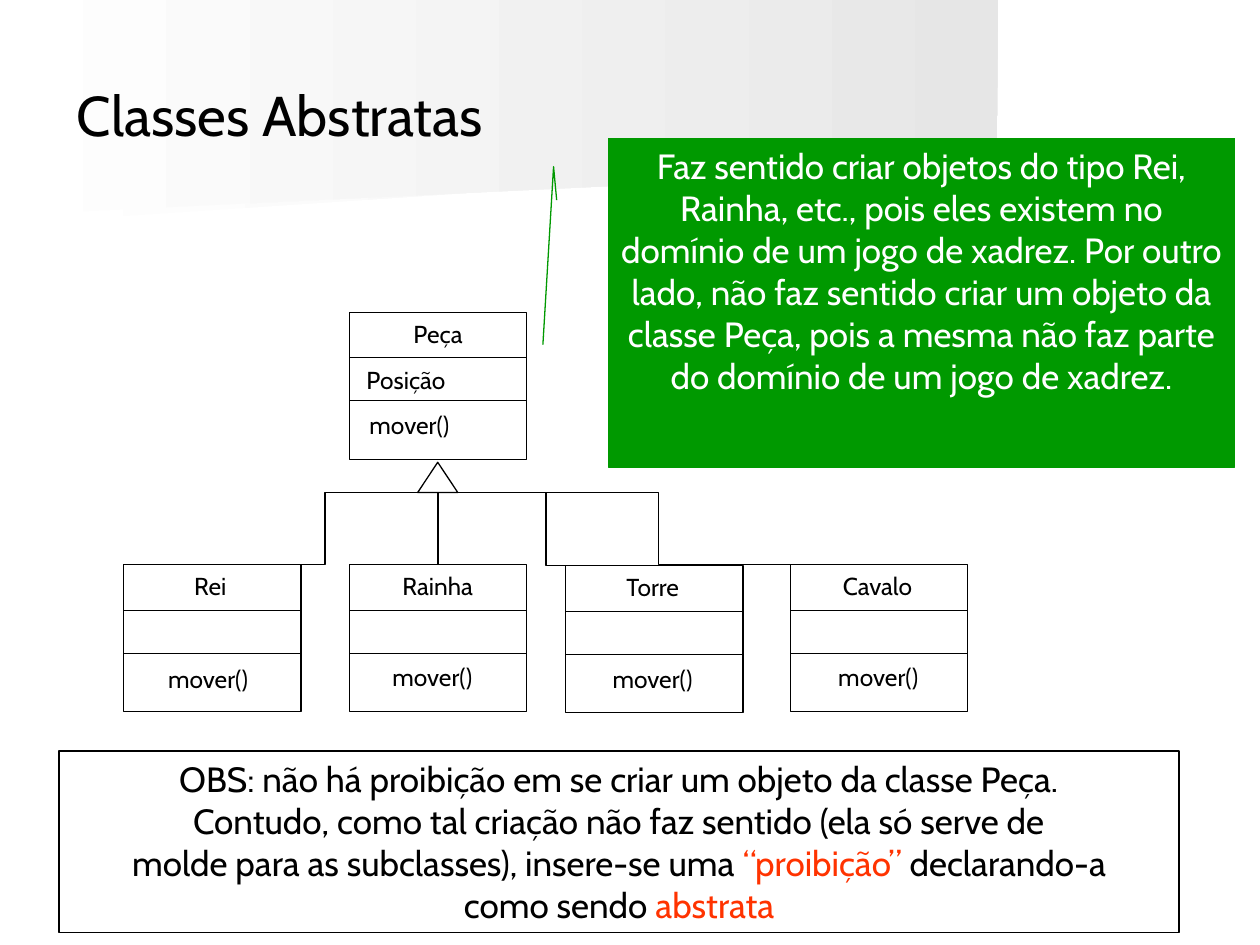
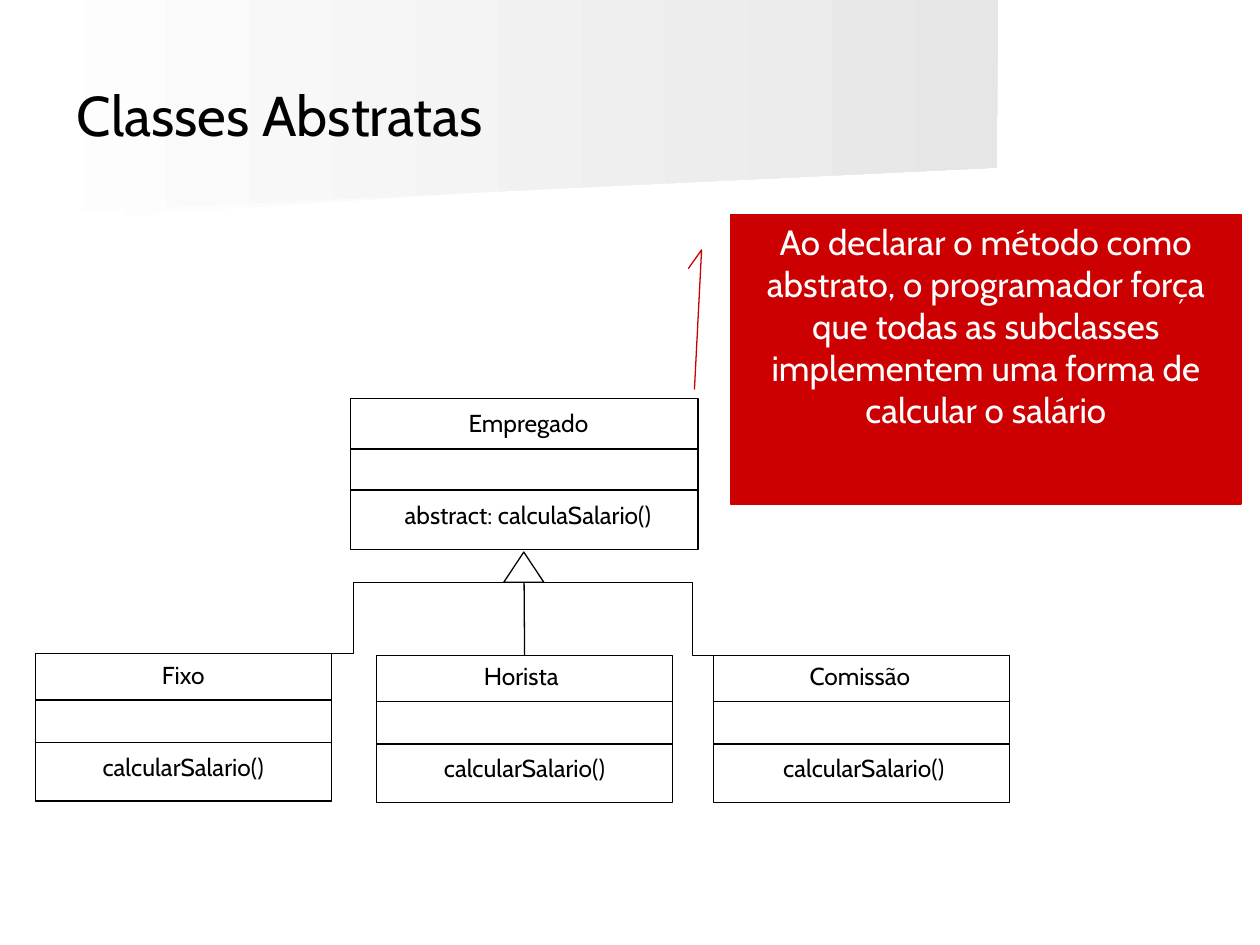
from pptx import Presentation
from pptx.dml.color import RGBColor
from pptx.enum.shapes import MSO_CONNECTOR as CONN, MSO_SHAPE as SHAPE
from pptx.enum.text import MSO_ANCHOR as ANCHOR, MSO_AUTO_SIZE as FIT, PP_ALIGN as ALIGN
from pptx.oxml.ns import qn
from pptx.util import Cm, Pt
from lxml import etree

FONT = "Cabin"
BLACK = RGBColor(0x00, 0x00, 0x00)
WHITE = RGBColor(0xFF, 0xFF, 0xFF)
GREEN = RGBColor(0x00, 0x99, 0x00)
RED = RGBColor(0xCC, 0x00, 0x00)
ORANGE = RGBColor(0xFF, 0x33, 0x00)

# Background bands: end colour of the gradient, outline in cm
BANDS = [
    (RGBColor(0xF0, 0xF0, 0xF0), [(19.76, 3.2), (0, 4.52), (0, 2.11), (19.79, 2.11)]),
    (RGBColor(0xE6, 0xE6, 0xE6), [(20.09, 3.38), (0, 4.34), (0, 0), (20.12, 0)]),
]

# Lengths in cm. Class: left, top, width, height, divider offsets,
# labels (text, left, width, offset from the top). The parent class comes first.
SUB = (0.93, 1.79)
DIAGRAMS = [
    {
        "classes": [
            (7.04, 6.3, 3.58, 2.97, (0.91, 1.78),
             [("Peça", 8.03, 1.6, 0), ("Posição", 7.04, 2.29, 0.94), ("mover()", 7.11, 2.29, 1.85)]),
            (2.49, 11.38, 3.58, 2.97, SUB, [("Rei", 3.63, 1.22, 0), ("mover()", 3.05, 2.29, 1.88)]),
            (7.04, 11.38, 3.58, 2.97, SUB, [("Rainha", 7.77, 2.11, 0), ("mover()", 7.57, 2.29, 1.85)]),
            (11.4, 11.4, 3.58, 2.97, SUB, [("Torre", 12.27, 1.78, 0), ("mover()", 12.01, 2.29, 1.86)]),
            (15.93, 11.38, 3.58, 2.97, SUB, [("Cavalo", 16.66, 2.06, 0), ("mover()", 16.56, 2.29, 1.85)]),
        ],
        "callout": (12.27, 2.79, 12.62, 6.63), "color": GREEN,
        "pointer": (0.188, -0.083, 0.086, -0.088, 0.627, -0.105),
        "text": "Faz sentido criar objetos do tipo Rei, Rainha, etc., pois eles existem no "
                "domínio de um jogo de xadrez. Por outro lado, não faz sentido criar um objeto "
                "da classe Peça, pois a mesma não faz parte do domínio de um jogo de xadrez.",
        "note": [
            [("OBS: não há proibição em se criar um objeto da classe Peça.", BLACK)],
            [("Contudo, como tal criação não faz sentido (ela só serve de", BLACK)],
            [("molde para as subclasses), insere-se uma ", BLACK), ("“proibição”", ORANGE),
             (" declarando-a", BLACK)],
            [("como sendo ", BLACK), ("abstrata", ORANGE)],
        ],
    },
    {
        "classes": [
            (7.06, 8.03, 7.01, 3.05, (1.02, 1.85),
             [("Empregado", 9.04, 3.23, 0.08), ("abstract: calculaSalario()", 7.57, 6.15, 1.93)]),
            (0.71, 13.18, 5.97, 2.97, SUB,
             [("Fixo", 2.97, 1.45, 0), ("calcularSalario()", 1.6, 4.19, 1.85)]),
            (7.59, 13.21, 5.97, 2.97, SUB,
             [("Horista", 9.42, 2.18, 0), ("calcularSalario()", 8.48, 4.19, 1.85)]),
            (14.38, 13.21, 5.97, 2.97, SUB,
             [("Comissão", 15.95, 2.77, 0), ("calcularSalario()", 15.32, 4.19, 1.85)]),
        ],
        "callout": (14.73, 4.32, 10.29, 5.84), "color": RED,
        "pointer": (0.188, -0.083, 0.123, -0.057, 0.605, -0.071),
        "text": "Ao declarar o método como abstrato, o programador força que todas as "
                "subclasses implementem uma forma de calcular o salário",
        "note": [],
    },
]


def add_run(p, text, size, color):
    r = p.add_run()
    r.text = text
    r.font.name, r.font.size = FONT, Pt(size)
    r.font.color.rgb = color


def outline(sp, color=BLACK):
    sp.line.color.rgb = color
    sp.line.width = Pt(0.75)
    if hasattr(sp, "begin_x"):
        etree.SubElement(sp._element.spPr, qn("a:effectLst"))
    else:
        sp.shadow.inherit = False
        sp.fill.background()
    return sp


prs = Presentation()
prs.slide_width, prs.slide_height = Cm(25.4), Cm(19.05)

for d in DIAGRAMS:
    s = prs.slides.add_slide(prs.slide_layouts[6])

    # Background bands
    for end_color, points in BANDS:
        (x, y), *rest = [(Cm(px), Cm(py)) for px, py in points]
        fb = s.shapes.build_freeform(x, y)
        fb.add_line_segments(rest, close=True)
        sp = fb.convert_to_shape()
        sp.shadow.inherit = False
        sp.line.fill.background()
        sp.fill.gradient()
        sp.fill.gradient_angle = 0
        for stop, color in zip(sp.fill.gradient_stops, (WHITE, end_color)):
            stop.color.rgb = color

    # Title
    tf = s.shapes.add_textbox(Cm(1.3), Cm(0.71), Cm(22.86), Cm(3.18)).text_frame
    tf.word_wrap = True
    tf.vertical_anchor = ANCHOR.MIDDLE
    add_run(tf.paragraphs[0], "Classes Abstratas", 32, BLACK)

    # Classes with their dividers and labels
    boxes = []
    for x, y, w, h, dividers, labels in d["classes"]:
        boxes.append(outline(s.shapes.add_shape(SHAPE.RECTANGLE, Cm(x), Cm(y), Cm(w), Cm(h))))
        for dy in dividers:
            outline(s.shapes.add_connector(CONN.STRAIGHT, Cm(x), Cm(y + dy), Cm(x + w), Cm(y + dy)))
        for text, left, width, dy in labels:
            tf = s.shapes.add_textbox(Cm(left), Cm(y + dy), Cm(width), Cm(0.86)).text_frame
            tf.word_wrap = False
            tf.auto_size = FIT.SHAPE_TO_FIT_TEXT
            p = tf.paragraphs[0]
            p.alignment = ALIGN.CENTER
            add_run(p, text, 14, BLACK)

    # Inheritance triangle and branches
    parent, *children = boxes
    mid_x = parent.left + parent.width // 2
    tri_top = parent.top + parent.height + Cm(0.05)
    base_y = tri_top + Cm(0.61)
    outline(s.shapes.add_shape(SHAPE.ISOSCELES_TRIANGLE, mid_x - Cm(0.41), tri_top, Cm(0.81), Cm(0.61)))
    for child in children:
        child_x = child.left + child.width // 2
        straight = abs(child_x - mid_x) < Cm(0.1)
        kind = CONN.STRAIGHT if straight else CONN.ELBOW
        branch = outline(s.shapes.add_connector(kind, mid_x, base_y, child_x, child.top))
        if straight:
            branch.end_connect(child, 0)

    # Callout
    sp = outline(s.shapes.add_shape(SHAPE.LINE_CALLOUT_2, *map(Cm, d["callout"])), d["color"])
    sp.fill.solid()
    sp.fill.fore_color.rgb = d["color"]
    for i, value in enumerate(d["pointer"]):
        sp.adjustments[i] = value
    tf = sp.text_frame
    tf.word_wrap = True
    tf.vertical_anchor = ANCHOR.TOP
    p = tf.paragraphs[0]
    p.alignment = ALIGN.CENTER
    add_run(p, d["text"], 20, WHITE)

    # Note at the bottom
    if d["note"]:
        sp = outline(s.shapes.add_shape(SHAPE.RECTANGLE, Cm(1.19), Cm(15.14), Cm(22.58), Cm(3.66)))
        tf = sp.text_frame
        tf.word_wrap = False
        tf.auto_size = FIT.SHAPE_TO_FIT_TEXT
        tf.vertical_anchor = ANCHOR.TOP
        for i, line in enumerate(d["note"]):
            p = tf.add_paragraph() if i else tf.paragraphs[0]
            p.alignment = ALIGN.CENTER
            for text, color in line:
                add_run(p, text, 20, color)

prs.save("out.pptx")
